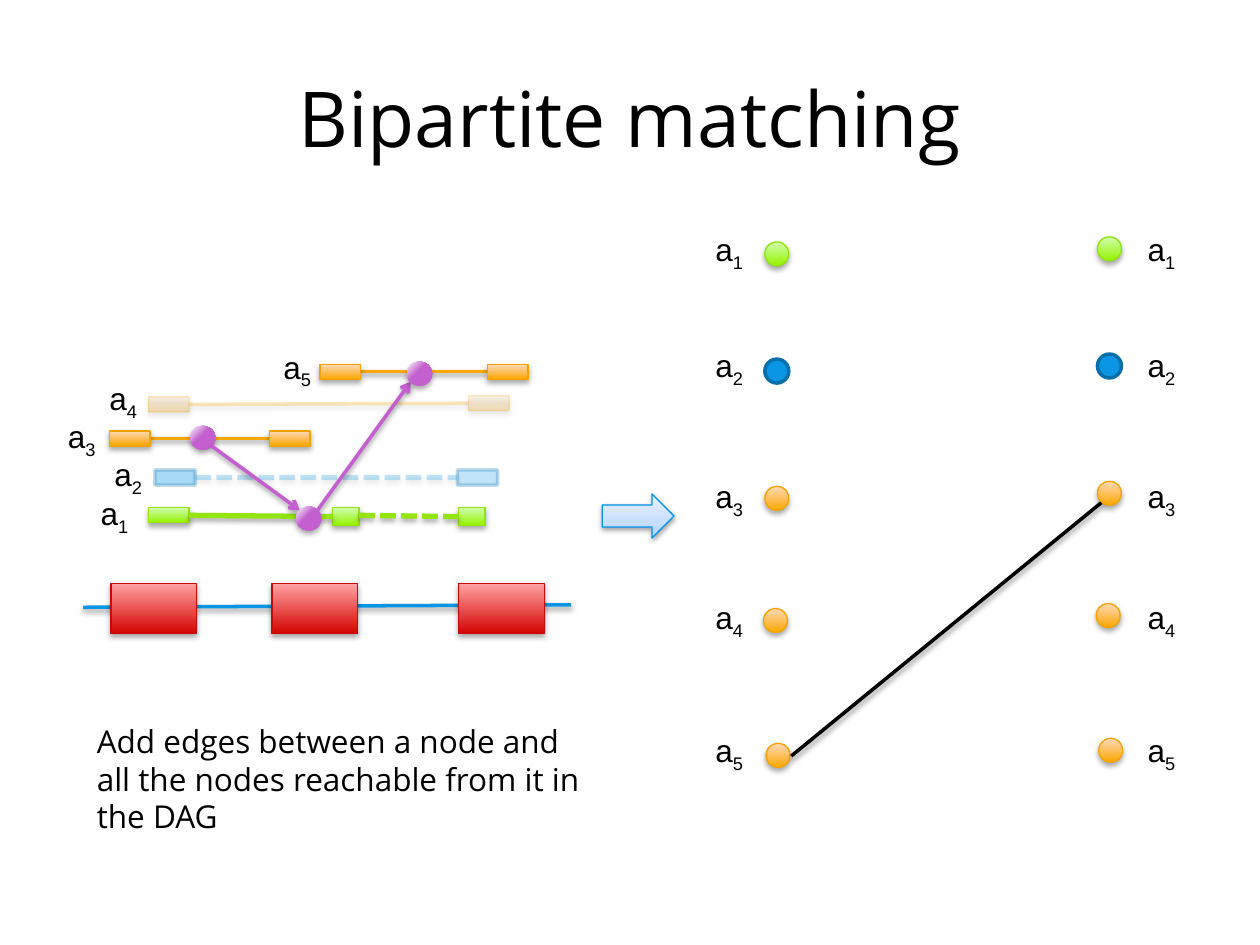
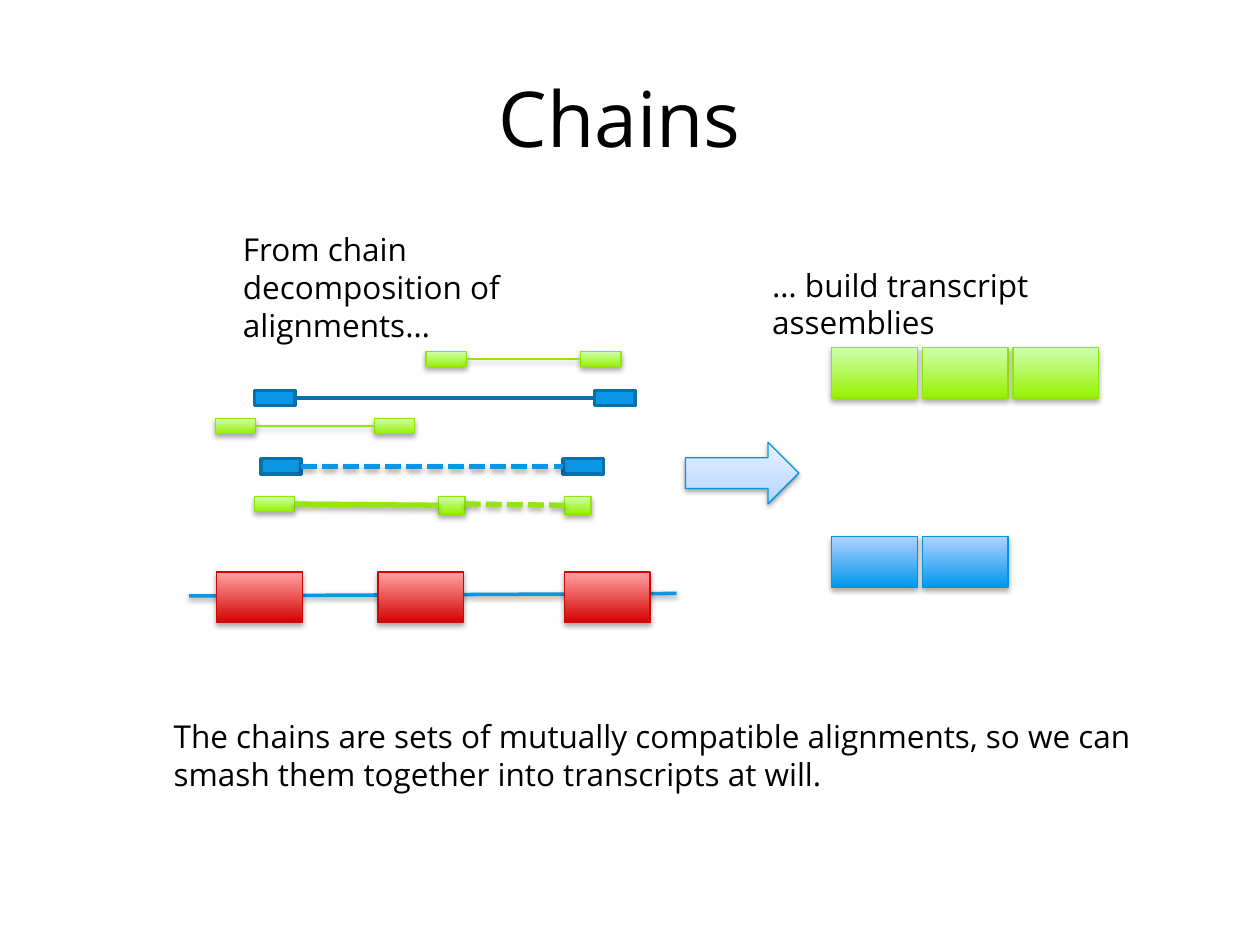
from dataclasses import dataclass

from pptx import Presentation, dml, oxml, util as u
from pptx.dml.color import RGBColor
from pptx.enum import dml as pens, shapes, text
from pptx.oxml import ns


@dataclass(frozen=True)
class Theme:
    """Colours, fonts and type sizes shared by the slides."""
    ink: str = "000000"
    sky: str = "0A96E4"
    navy: str = "076FA9"
    azure: str = "0494E4"
    lime: str = "93E50D"
    lime_edge: str = "91E507"
    amber: str = "FAA700"
    amber_edge: str = "F4A300"
    red_edge: str = "C70A07"
    violet: str = "C45FCF"
    body_font: str = "Open Sans"
    label_font: str = "Arial"
    title_size: int = 44
    body_size: int = 18


T = Theme()
RECT, DOT = shapes.MSO_SHAPE.RECTANGLE, shapes.MSO_SHAPE.OVAL
ARROW = shapes.MSO_SHAPE.RIGHT_ARROW
UPWARD = '<a:lin ang="16200000" scaled="0"/>'
GLINT = '<a:path path="circle"><a:fillToRect l="100000" t="100000"/></a:path>'
SOFT, LIFTED = (35, 23000), (38, 20000)  # shadow opacity and distance

GREEN = dict(stops={0: "96F200", 100: "D0FFB0"}, line=T.lime_edge, shadow=SOFT)
ORANGE = dict(stops={0: T.amber, 100: "FFD9BA"}, line=T.amber_edge, shadow=SOFT)
RED = dict(stops={0: "D30300", 100: "FFA3A3"}, line=T.red_edge, shadow=SOFT)
BLUE = dict(stops={0: "0099EE", 100: "B0D1FF"}, line=T.azure, shadow=SOFT)
PALE = dict(stops={0: "B0D1FF", 35: "C7DEFF", 100: "EAF2FF"}, line=T.azure, shadow=LIFTED)
FLAT = dict(fill=T.sky, line=T.navy, width=2)
BEAD = dict(stops={56: T.violet, 100: "FFFFFF"}, path=GLINT, shadow=SOFT)

GENE_LINE = dict(line=T.sky, width=2, shadow=LIFTED)
AMBER_LINE = dict(line=T.amber, width=2, shadow=LIFTED)
LIME_LINE = dict(line=T.lime, width=3, shadow=SOFT)
THIN_LINE = dict(line=T.lime_edge, shadow=SOFT)
NAVY_LINE = dict(line=T.navy, width=2)
SKY_DASH = dict(line=T.sky, width=3, dash=True, shadow=SOFT)
EDGE = dict(line=T.violet, width=2, shadow=LIFTED, arrow=True)
MATCH = dict(line=T.ink, width=2, shadow=LIFTED)


def draw(slide, kind, place, fill=None, stops=None, path=UPWARD, line=None, width=0.75,
         dash=False, arrow=False, shadow=None, fade=None):
    """Draw a preset shape (left, top, width, height), or a line (x1, y1, x2, y2) if kind is None."""
    place = [u.Inches(value) for value in place]
    if kind is None:
        part = slide.shapes.add_connector(shapes.MSO_CONNECTOR.STRAIGHT, *place)
    else:
        part = slide.shapes.add_shape(kind, *place)
    props = part._element.spPr
    if fill:
        part.fill.solid()
        part.fill.fore_color.rgb = RGBColor.from_string(fill)
    if stops:
        part.fill.background()
        marks = "".join(f'<a:gs pos="{at * 1000}"><a:srgbClr val="{color}"/></a:gs>'
                        for at, color in stops.items())
        props.replace(props.find(ns.qn("a:noFill")), oxml.parse_xml(
            f'<a:gradFill {ns.nsdecls("a")} rotWithShape="1"><a:gsLst>{marks}</a:gsLst>{path}</a:gradFill>'))
    if line:
        part.line.color.rgb = RGBColor.from_string(line)
        part.line.width = u.Pt(width)
    else:
        part.line.fill.background()
    if dash:
        part.line.dash_style = pens.MSO_LINE.SQUARE_DOT
    if arrow:
        props.find(ns.qn("a:ln")).append(
            oxml.parse_xml(f'<a:tailEnd {ns.nsdecls("a")} type="arrow"/>'))
    if fade:
        for color in props.iter(ns.qn("a:srgbClr")):
            on_line = any(True for _ in color.iterancestors(ns.qn("a:ln")))
            color.append(oxml.parse_xml(
                f'<a:alpha {ns.nsdecls("a")} val="{fade[on_line] * 1000}"/>'))
    cast = ""
    if shadow:
        opacity, distance = shadow
        cast = (f'<a:outerShdw blurRad="40000" dist="{distance}" dir="5400000" rotWithShape="0">'
                f'<a:srgbClr val="{T.ink}"><a:alpha val="{opacity * 1000}"/></a:srgbClr></a:outerShdw>')
    props.append(oxml.parse_xml(f'<a:effectLst {ns.nsdecls("a")}>{cast}</a:effectLst>'))


def write(slide, words, place, sub="", size=T.body_size, font=T.body_font, **layout):
    """Add a text box, with an optional subscript run after the words."""
    frame = slide.shapes.add_textbox(*[u.Inches(value) for value in place]).text_frame
    for name, value in {"word_wrap": True, **layout}.items():
        setattr(frame, name, value)
    for piece in filter(None, (words, sub)):
        run = frame.paragraphs[0].add_run()
        run.text = piece
        for name, value in {"size": u.Pt(size), "name": font}.items():
            setattr(run.font, name, value)
        run.font.color.rgb = RGBColor.from_string(T.ink)
        if piece == sub:
            run._r.get_or_add_rPr().set("baseline", "-25000")
    return frame


deck = Presentation()
deck.slide_width, deck.slide_height = u.Inches(10), u.Inches(7.5)

# Both slides: title, gene with three exons, and alignments a1 and a2
pages = []
for title, dx, dy, fades in (("Bipartite matching", 0, 0, ((35, 25), (25, 25))),
                             ("Chains ", 0.84, -0.09, (None, None))):
    slide = deck.slides.add_slide(deck.slide_layouts[6])
    pages.append(slide)
    heading = write(slide, title, (0.5, 0.3, 9, 1.25), size=T.title_size,
                    vertical_anchor=text.MSO_ANCHOR.MIDDLE)
    heading.paragraphs[0].alignment = text.PP_ALIGN.CENTER

    draw(slide, None, (0.66 + dx, 4.82 + dy, 4.53 + dx, 4.8 + dy), **GENE_LINE)
    for left in (0.88, 2.16, 3.64):
        draw(slide, RECT, (left + dx, 4.63 + dy, 0.68, 0.4), **RED)

    for left, fade in zip((1.23, 3.63), fades):
        draw(slide, RECT, (left + dx, 3.73 + dy, 0.32, 0.12), fade=fade, **FLAT)
    draw(slide, None, (1.55 + dx, 3.79 + dy, 3.63 + dx, 3.79 + dy), fade=fades[1], **SKY_DASH)

    draw(slide, RECT, (1.18 + dx, 4.03 + dy, 0.32, 0.12), **GREEN)
    for left in (2.64, 3.64):
        draw(slide, RECT, (left + dx, 4.03 + dy, 0.21, 0.14), **GREEN)
    for start, end, dash in ((1.5, 2.64, False), (2.85, 3.64, True)):
        draw(slide, None, (start + dx, 4.09 + dy, end + dx, 4.1 + dy), dash=dash, **LIME_LINE)

matching, chains = pages

# Matching: alignments a3 to a5, as first block, second block and the tops of both
for first, second, top, end_top, fades in (
        (0.87, 2.14, 3.42, 3.42, (None, None, None)),
        (1.18, 3.72, 3.15, 3.14, ((25, 25), (25, 25), (24, 18))),
        (2.54, 3.87, 2.89, 2.89, (None, None, None))):
    draw(matching, None, (first + 0.32, top + 0.06, second, end_top + 0.06),
         fade=fades[1], **AMBER_LINE)
    draw(matching, RECT, (first, top, 0.32, 0.12), fade=fades[0], **ORANGE)
    draw(matching, RECT, (second, end_top, 0.32, 0.12), fade=fades[2], **ORANGE)

for number, (left, top) in enumerate(
        ((0.7, 3.87), (0.81, 3.56), (0.44, 3.26), (0.77, 2.96), (2.15, 2.71)), 1):
    write(matching, "a", (left, top, 0.44, 0.4), str(number), font=T.label_font, word_wrap=False)

# Matching: reachability path through the alignments
draw(matching, DOT, (1.51, 3.38, 0.2, 0.19), **BEAD)
for ends in ((1.68, 3.54, 2.38, 4.05), (2.52, 4.05, 3.26, 3.03)):
    draw(matching, None, ends, **EDGE)
for left, top in ((3.23, 2.87), (2.35, 4.02)):
    draw(matching, DOT, (left, top, 0.2, 0.19), **BEAD)

# Matching: bipartite graph, the right column a little higher than the left
nodes = ((0, 1.92, 1.78, GREEN), (0, 2.85, 2.7, FLAT), (0, 3.86, 3.74, ORANGE),
         (-0.01, 4.83, 4.7, ORANGE), (0.01, 5.9, 5.75, ORANGE))
for column, rise, label_left in ((6.07, 0, 5.58), (8.71, 0.04, 9.01)):
    for number, (shift, top, label_top, style) in enumerate(nodes, 1):
        draw(matching, DOT, (column + shift, top - rise, 0.19, 0.19), **style)
        write(matching, "a", (label_left, label_top, 0.44, 0.4), str(number),
              font=T.label_font, word_wrap=False)
draw(matching, None, (6.28, 6, 8.74, 3.99), **MATCH)
draw(matching, ARROW, (4.78, 3.92, 0.57, 0.35), **PALE)
write(matching, "Add edges between a node and all the nodes reachable from it in the DAG",
      (0.67, 5.68, 4.03, 1.01))

# Chains: the other alignments, coloured by chain
for first, second, top, block, link in ((1.71, 2.97, 3.32, GREEN, THIN_LINE),
                                        (2.02, 4.72, 3.1, FLAT, NAVY_LINE),
                                        (3.38, 4.61, 2.79, GREEN, THIN_LINE)):
    for left in (first, second):
        draw(chains, RECT, (left, top, 0.32, 0.12), **block)
    draw(chains, None, (first + 0.32, top + 0.06, second, top + 0.06), **link)

# Chains: assembled transcripts
draw(chains, ARROW, (5.44, 3.51, 0.9, 0.49), **PALE)
for top, exons, style in ((2.76, 3, GREEN), (4.26, 2, BLUE)):
    for exon in range(exons):
        draw(chains, RECT, (6.6 + 0.72 * exon, top, 0.68, 0.4), **style)

for words, place in (
        ("From chain decomposition of alignments…", (1.83, 1.78, 3.17, 0.71)),
        ("… build transcript assemblies", (6.03, 2.06, 3.43, 0.4)),
        ("The chains are sets of mutually compatible alignments, so we can smash them "
         "together into transcripts at will.", (1.28, 5.64, 7.82, 0.71))):
    write(chains, words, place)

deck.save("out.pptx")
